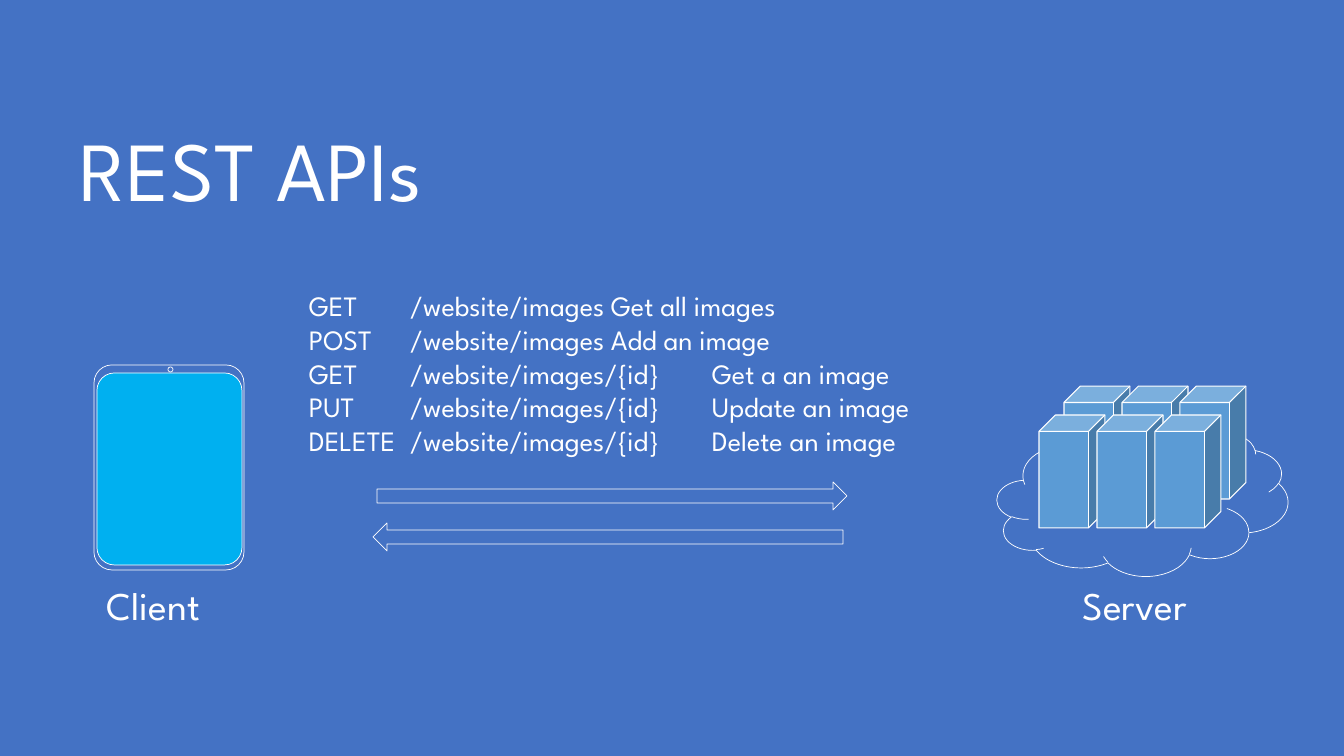
from lxml import etree
from pptx import Presentation
from pptx.dml.color import RGBColor
from pptx.enum.shapes import MSO_SHAPE
from pptx.enum.text import MSO_ANCHOR, MSO_AUTO_SIZE
from pptx.oxml.ns import qn
from pptx.util import Emu, Pt

ROUNDED = MSO_SHAPE.ROUNDED_RECTANGLE
OVAL = MSO_SHAPE.OVAL
CLOUD = MSO_SHAPE.CLOUD
CUBE = MSO_SHAPE.CUBE
ARROW = MSO_SHAPE.RIGHT_ARROW
BOTTOM = MSO_ANCHOR.BOTTOM
GROW = MSO_AUTO_SIZE.SHAPE_TO_FIT_TEXT

BLUE = RGBColor(0x44, 0x72, 0xC4)
WHITE = RGBColor(0xFF, 0xFF, 0xFF)
SCREEN_BLUE = RGBColor(0x00, 0xB0, 0xF0)
SERVER_BLUE = RGBColor(0x5B, 0x9B, 0xD5)
FONT = "League Spartan"
PX = 12192000 / 1344
TAB_STOPS = (101, 302, 403)


def px(*lengths):
    return [Emu(round(length * PX)) for length in lengths]


def add_outlined(shapes, kind, bounds, fill=None, weight=0.5):
    shape = shapes.add_shape(kind, *px(*bounds))
    shape.shadow.inherit = False
    if fill is None:
        shape.fill.background()
    else:
        shape.fill.solid()
        shape.fill.fore_color.rgb = fill
    shape.line.color.rgb = WHITE
    shape.line.width = Pt(weight)
    return shape


deck = Presentation()
deck.slide_width, deck.slide_height = px(1344, 756)
page = deck.slides.add_slide(deck.slide_layouts[6])
page.background.fill.solid()
page.background.fill.fore_color.rgb = BLUE

# Title, list of endpoints and the two captions
endpoints = "\n".join([
    "GET\t/website/images\tGet all images",
    "POST\t/website/images\tAdd an image",
    "GET\t/website/images/{id}\tGet a an image",
    "PUT\t/website/images/{id}\tUpdate an image",
    "DELETE\t/website/images/{id}\tDelete an image",
])
texts = [
    ("REST APIs", (70, 21, 1159, 204), 60),
    (endpoints, (299, 284, 673, 179), 20),
    ("Client", (97, 576, 132, 57), 28),
    ("Server", (1073, 576, 137, 57), 28),
]
for words, bounds, size in texts:
    box = page.shapes.add_textbox(*px(*bounds))
    frame = box.text_frame
    frame.text = words
    if words == "REST APIs":
        frame.word_wrap = True
        frame.vertical_anchor = BOTTOM
        frame.paragraphs[0].line_spacing = 0.9
    else:
        frame.word_wrap = False
        frame.auto_size = GROW
    for para in frame.paragraphs:
        if words == endpoints:
            tabs = etree.SubElement(para._p.get_or_add_pPr(), qn("a:tabLst"))
            for stop in px(*TAB_STOPS):
                etree.SubElement(tabs, qn("a:tab"), pos=str(int(stop)), algn="l")
        for span in para.runs:
            span.font.name = FONT
            span.font.size = Pt(size)
            span.font.color.rgb = WHITE

# Client tablet: case, screen and camera
tablet = page.shapes.add_group_shape().shapes
for bounds, fill in [((94, 365, 150, 205), None), ((97, 373, 145, 192), SCREEN_BLUE)]:
    panel = add_outlined(tablet, ROUNDED, bounds, fill)
    panel.adjustments[0] = 0.12
add_outlined(tablet, OVAL, (168, 367, 5, 5))

# Server cloud with a back and a front row of machines
cloud = page.shapes.add_group_shape().shapes
add_outlined(cloud, CLOUD, (997, 432, 291, 144))
for left, top in [(1064, 386), (1039, 415)]:
    for column in range(3):
        add_outlined(cloud, CUBE, (left + 58 * column, top, 66, 113), SERVER_BLUE, 0.75)

# Request and response arrows
for left, top, turn in [(377, 482, 0), (373, 523, 180)]:
    arrow = add_outlined(page.shapes, ARROW, (left, top, 470, 28))
    arrow.rotation = turn

deck.save("out.pptx")
